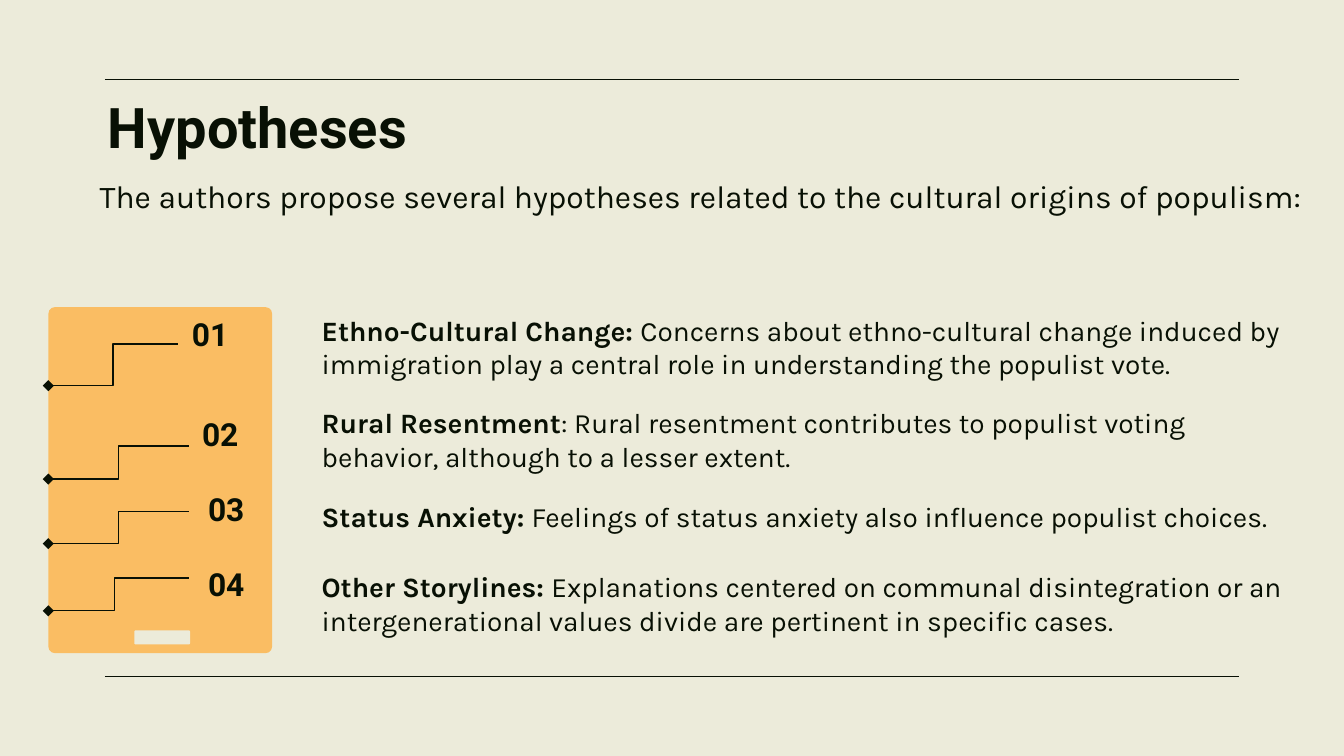
import pptx
import pptx.dml.color
import pptx.enum.shapes
import pptx.enum.text
import pptx.oxml
import pptx.oxml.ns
import pptx.util

COLORS = {"paper": "ECEBDA", "ink": "081004", "card": "FABD63"}
COLUMNS, ROWS = 100, 56.25  # square cells of 0.1 inch


def rgb(name):
    return pptx.dml.color.RGBColor.from_string(COLORS[name])


def add_xml(parent, tag, **attributes):
    child = pptx.oxml.parse_xml(f"<{tag} {pptx.oxml.ns.nsdecls('a')}/>")
    for key, value in attributes.items():
        child.set(key, value)
    parent.append(child)


def write(paragraph, text, font="Karla", size=15, bold=False, color="ink"):
    run = paragraph.add_run()
    run.text = text
    run.font.name = font
    run.font.size = pptx.util.Pt(size)
    run.font.bold = bold
    run.font.color.rgb = rgb(color)


class HypothesesSlide:
    def __init__(self, deck):
        self.column = deck.slide_width / COLUMNS
        self.row = deck.slide_height / ROWS
        self.slide = deck.slides.add_slide(deck.slide_layouts[6])
        background = self.slide.background.fill
        background.solid()
        background.fore_color.rgb = rgb("paper")

    def place(self, x, y, second_x, second_y):
        """Turn two pairs of columns and rows into lengths."""
        return (round(x * self.column), round(y * self.row),
                round(second_x * self.column), round(second_y * self.row))

    def text(self, x, y, width, height, *parts, middle=False):
        """Add one paragraph made of (text, format) parts."""
        box = self.slide.shapes.add_textbox(*self.place(x, y, width, height))
        frame = box.text_frame
        frame.word_wrap = True
        inset = round(self.column)
        frame.margin_left = frame.margin_right = inset
        frame.margin_top = frame.margin_bottom = inset
        anchors = pptx.enum.text.MSO_ANCHOR
        frame.vertical_anchor = anchors.MIDDLE if middle else anchors.TOP
        for content, style in parts:
            write(frame.paragraphs[0], content, **style)

    def panel(self, x, y, width, height, color, rounding):
        panel = self.slide.shapes.add_shape(
            pptx.enum.shapes.MSO_SHAPE.ROUNDED_RECTANGLE, *self.place(x, y, width, height))
        panel.adjustments[0] = rounding
        panel.shadow.inherit = False
        panel.fill.solid()
        panel.fill.fore_color.rgb = rgb(color)
        panel.line.fill.background()

    def connector(self, kind, x1, y1, x2, y2):
        line = self.slide.shapes.add_connector(kind, *self.place(x1, y1, x2, y2))
        line.line.color.rgb = rgb("ink")
        line.line.width = pptx.util.Pt(0.75)
        add_xml(line._element.spPr, "a:effectLst")
        return line

    def rule(self, y):
        self.connector(pptx.enum.shapes.MSO_CONNECTOR.STRAIGHT, 7.8, y, 92.2, y)

    def step(self, x1, y1, x2, y2, bend):
        """Add an elbow that ends in a diamond; bend is in thousandths of a percent."""
        step = self.connector(pptx.enum.shapes.MSO_CONNECTOR.ELBOW, x1, y1, x2, y2)
        add_xml(step.line._get_or_add_ln(), "a:tailEnd", type="diamond")
        guides = step._element.spPr.find(
            f"{pptx.oxml.ns.qn('a:prstGeom')}/{pptx.oxml.ns.qn('a:avLst')}")
        add_xml(guides, "a:gd", name="adj1", fmla=f"val {bend}")


# lead, explanation, text (top, width, height), number (x, y, width, height),
# step (start x, start y, end y, bend)
HYPOTHESES = [
    ("Ethno-Cultural Change: ",
     "Concerns about ethno-cultural change induced by immigration play a central role "
     "in understanding the populist vote.",
     (22.3, 77, 6.3), (13.3, 22.9, 7, 3.8), (13.25, 25.6, 28.7, 50000)),
    ("Rural Resentment",
     ": Rural resentment contributes to populist voting behavior, although to a lesser extent.",
     (29.2, 73.9, 8.3), (14.05, 29.8, 7, 4.9), (14.05, 33.2, 35.65, 50000)),
    ("Status Anxiety: ",
     "Feelings of status anxiety also influence populist choices.",
     (36.2, 73.9, 4.9), (14.5, 35.4, 8, 4.9), (14.05, 38.05, 40.45, 50000)),
    ("Other Storylines: ",
     "Explanations centered on communal disintegration or an intergenerational values "
     "divide are pertinent in specific cases.",
     (41.4, 73.9, 6.3), (14.5, 41, 8, 4.9), (14.05, 43.02, 45.45, 52800)),
]


def main():
    deck = pptx.Presentation()
    deck.slide_width = pptx.util.Pt(720)
    deck.slide_height = pptx.util.Pt(405)
    page = HypothesesSlide(deck)
    heading = {"font": "Roboto", "bold": True}

    for y in (5.9, 50.33):
        page.rule(y)
    page.panel(3.6, 22.85, 16.65, 25.75, "card", 0.03)
    page.panel(10, 46.9, 4.15, 1.05, "paper", 0.1)

    page.text(7.05, 5.9, 84.3, 6.3, ("Hypotheses", {**heading, "size": 30}))
    page.text(6.43, 12.15, 92.1, 4.9,
              ("The authors propose several hypotheses related to the cultural origins of populism:",
               {"size": 17}))

    for index, (lead, explanation, body, number, step) in enumerate(HYPOTHESES, 1):
        page.text(22.95, *body, (lead, {"bold": True}), (explanation, {}))
        page.text(*number, (f"{index:02d}", {**heading, "size": 17}), middle=True)
        start_x, start_y, end_y, bend = step
        page.step(start_x, start_y, 3.6, end_y, bend)

    deck.save("out.pptx")


if __name__ == "__main__":
    main()
